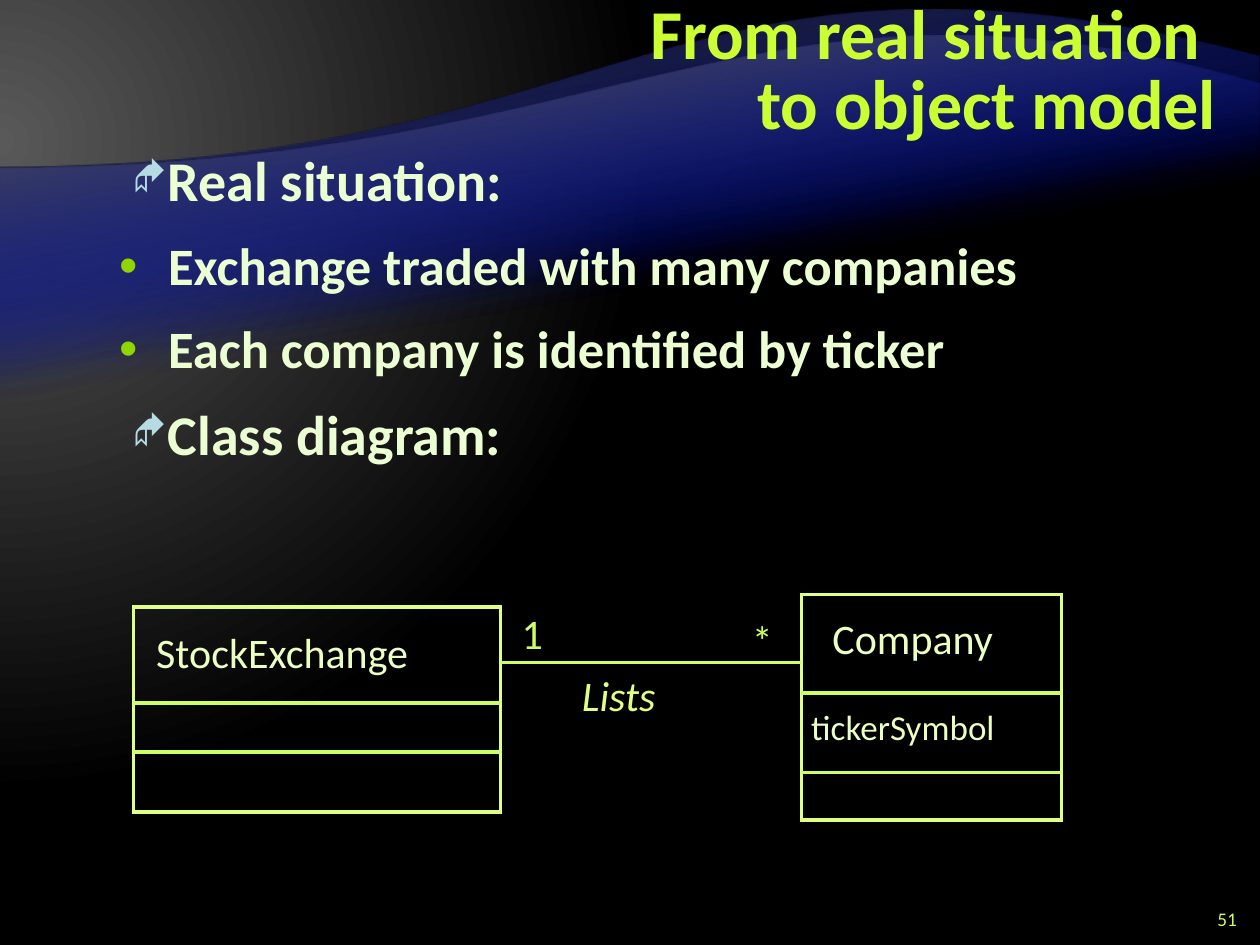
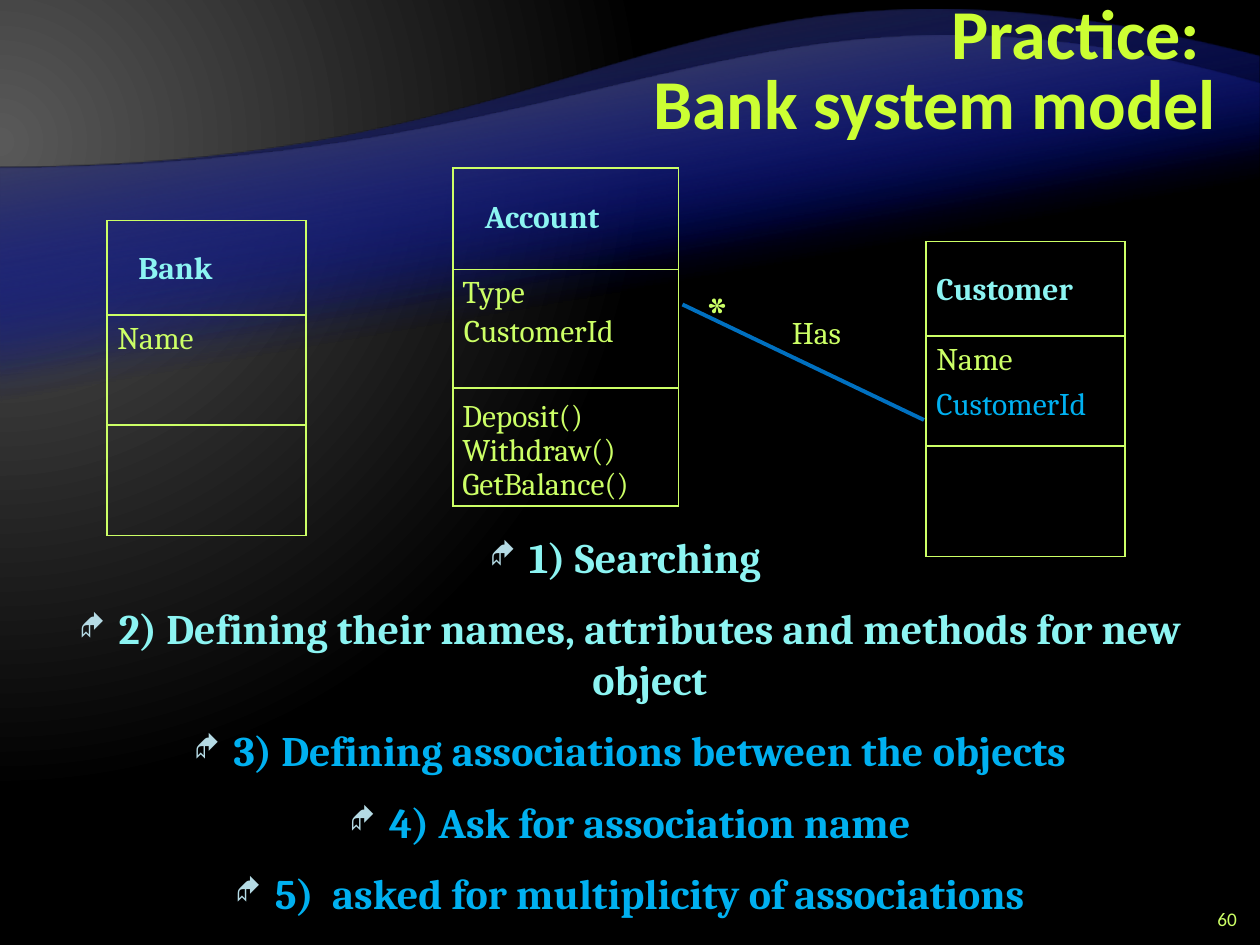
from pptx import Presentation
from pptx import util as u
from pptx.dml.color import RGBColor
from pptx.enum import shapes, text
from pptx.oxml.ns import qn
from pptx.oxml.xmlchemy import OxmlElement

LIME = "CCFF66"
PALE_LIME = "E0FF85"
TITLE_LIME = "CCFF33"
CREAM = "EBFFC2"
BODY_CREAM = "EBFFD2"
AQUA = "8CF4F2"
SKY = "00B0F0"
LINK_BLUE = "0070C0"
ALIGN = text.PP_ALIGN
DIAMOND = {"character": "◆", "color": "B5DBE5", "percent": 70, "font": "Wingdings"}
DOT = {"character": "•", "color": "8FD600", "percent": 100, "font": "Arial"}
WAVES = [
    (470, [(0, 96), (360, 96), (384.5, -54), (720, 32.5)], "262626"),
    (401, [(0, 96), (360, 96), (430.5, -35.5), (720, 48)], "595959"),
]


def rgb(value):
    return RGBColor.from_string(value)


def points(*values):
    return [u.Pt(value) for value in values]


def add_child(parent, tag, **attributes):
    child = OxmlElement(tag)
    for name, value in attributes.items():
        child.set(name, str(value))
    parent.append(child)
    return child


def replace_solid_with_gradient(properties, stops):
    gradient = OxmlElement("a:gradFill")
    gradient.set("rotWithShape", "1")
    stop_list = add_child(gradient, "a:gsLst")
    for position, value, opacity in stops:
        stop = add_child(stop_list, "a:gs", pos=position * 1000)
        color = add_child(stop, "a:srgbClr", val=value)
        if opacity < 100:
            add_child(color, "a:alpha", val=opacity * 1000)
    solid = properties.find(qn("a:solidFill"))
    properties.replace(solid, gradient)
    return gradient


def paint_background(layout):
    layout.background.fill.solid()
    layout.background.fill.fore_color.rgb = rgb("000000")
    properties = layout.element.find(".//" + qn("p:bgPr"))
    gradient = replace_solid_with_gradient(
        properties, [(0, "595959", 100), (83, "000000", 100)])
    circle = add_child(gradient, "a:path", path="circle")
    add_child(circle, "a:fillToRect", l=20000, t=30000, r=135000, b=100000)


def add_wave(slide, bottom, crest, edge_color):
    corners = [points(0, bottom), points(*crest[0]), points(*crest[-1])]
    builder = slide.shapes.build_freeform(*points(720, bottom))
    builder.add_line_segments(corners, close=True)
    wave = builder.convert_to_shape()
    last_side = wave.element.findall(".//" + qn("a:lnTo"))[2]
    curve = OxmlElement("a:cubicBezTo")
    for x, y in crest[1:]:
        add_child(curve, "a:pt", x=u.Pt(x), y=u.Pt(y) - wave.top)
    last_side.getparent().replace(last_side, curve)
    wave.shadow.inherit = False
    wave.line.fill.background()
    wave.fill.solid()
    gradient = replace_solid_with_gradient(
        wave.element.spPr, [(65, "000D9E", 0), (100, edge_color, 100)])
    add_child(gradient, "a:lin", ang=260 * 60000, scaled=0)
    return wave


def decorate_layout(layout, slide):
    paint_background(layout)
    for wave in WAVES * 2:
        layout.shapes.element.append(add_wave(slide, *wave).element)


def add_bullet(paragraph, bullet, margin, indent):
    properties = paragraph._p.get_or_add_pPr()
    properties.set("marL", str(u.Pt(margin)))
    properties.set("indent", str(u.Pt(indent)))
    color = add_child(properties, "a:buClr")
    add_child(color, "a:srgbClr", val=bullet["color"])
    add_child(properties, "a:buSzPct", val=bullet["percent"] * 1000)
    add_child(properties, "a:buFont", typeface=bullet["font"])
    add_child(properties, "a:buChar", char=bullet["character"])


def write_text(frame, content, size=24, color=LIME, font="Calibri", bold=False,
               italic=False, align=ALIGN.LEFT, spacing=None, before=0, after=0):
    paragraph = frame.paragraphs[0]
    if paragraph.runs:
        paragraph = frame.add_paragraph()
    paragraph.alignment = align
    paragraph.line_spacing = spacing
    paragraph.space_before = u.Pt(before)
    paragraph.space_after = u.Pt(after)
    for number, line in enumerate(content.split("\n")):
        if number:
            paragraph.add_line_break()
        run = paragraph.add_run()
        run.text = line
        run.font.size = u.Pt(size)
        run.font.name = font
        run.font.bold = bold
        run.font.italic = italic
        run.font.color.rgb = rgb(color)
    return paragraph


def add_frame(slide, left, top, width, height, wrap=True, middle=False):
    frame = slide.shapes.add_textbox(*points(left, top, width, height)).text_frame
    frame.word_wrap = wrap
    if middle:
        frame.vertical_anchor = text.MSO_ANCHOR.MIDDLE
    return frame


def add_label(slide, content, left, top, width, height=36, **style):
    frame = add_frame(slide, left, top, width, height, wrap=False)
    frame.auto_size = text.MSO_AUTO_SIZE.SHAPE_TO_FIT_TEXT
    write_text(frame, content, **style)


def add_member(slide, content, left, top, width, color=LIME, bold=False):
    add_label(slide, content, left, top, width, 29, size=18, font="Cambria",
              color=color, bold=bold)


def add_line(slide, start, end, color=LIME, weight=2):
    line = slide.shapes.add_connector(
        shapes.MSO_CONNECTOR.STRAIGHT, *points(*start, *end))
    line.line.color.rgb = rgb(color)
    line.line.width = u.Pt(weight)
    add_child(line.element.spPr, "a:effectLst")


def add_class_box(slide, left, top, width, height, dividers, color=LIME, weight=1):
    box = slide.shapes.add_shape(
        shapes.MSO_SHAPE.RECTANGLE, *points(left, top, width, height))
    box.shadow.inherit = False
    box.fill.background()
    box.line.color.rgb = rgb(color)
    box.line.width = u.Pt(weight)
    add_child(box.element.spPr.find(qn("a:ln")), "a:miter", lim=800000)
    for offset in dividers:
        add_line(slide, (left, top + offset), (left + width, top + offset),
                 weight=weight)


def add_base_slide(presentation, title, number):
    slide = presentation.slides.add_slide(presentation.slide_layouts[6])
    write_text(add_frame(slide, 144, 6, 558, 72, middle=True), title, size=40,
               color=TITLE_LIME, bold=True, align=ALIGN.RIGHT, spacing=u.Pt(40))
    write_text(add_frame(slide, 678, 516, 36, 18, middle=True), number, size=11,
               align=ALIGN.RIGHT)
    return slide


def build_exchange_slide(presentation):
    slide = add_base_slide(
        presentation, "From real situation \nto object model", "51")
    body = add_frame(slide, 18, 84, 684, 444)
    heading = (32, DIAMOND, 22.5, 28)
    detail = (30, DOT, 71, -28)
    for content, (size, bullet, margin, indent) in [
            ("Real situation:", heading),
            ("Exchange traded with many companies", detail),
            ("Each company is identified by ticker", detail),
            ("Class diagram:", heading)]:
        paragraph = write_text(body, content, size=size, color=BODY_CREAM, bold=True,
                               spacing=0.9, before=size * 0.3, after=6)
        add_bullet(paragraph, bullet, margin, indent)

    add_class_box(slide, 76.4, 346.8, 209.5, 117.4, (55, 83), PALE_LIME, 2)
    add_class_box(slide, 458, 339.6, 148.5, 129, (56.4, 101.7), PALE_LIME, 2)
    add_label(slide, "StockExchange", 82.2, 354.4, 169, color=CREAM)
    add_label(slide, "Company", 468.6, 346.7, 111, color=CREAM)
    add_label(slide, "tickerSymbol", 456.5, 399.5, 125, 31, size=20, color=CREAM)
    add_line(slide, (286, 378.7), (457.5, 378.7))
    add_label(slide, "Lists", 325.5, 379.3, 64, color=PALE_LIME, italic=True)
    add_label(slide, "*", 422.5, 347.7, 27)
    add_label(slide, "1", 291, 343.5, 25)
    return slide


def build_bank_slide(presentation):
    slide = add_base_slide(presentation, "Practice: \nBank system model", "60")
    body = add_frame(slide, 18, 300.2, 684, 228)
    for content, color in [
            ("1) Searching ", AQUA),
            ("2) Defining their names, attributes and methods for new object", AQUA),
            ("3) Defining associations between the objects", SKY),
            ("4) Ask for association name", SKY),
            ("5)  asked for multiplicity of associations", SKY)]:
        paragraph = write_text(body, content, color=color, font="Cambria", bold=True,
                               align=ALIGN.CENTER, before=6, after=6)
        add_bullet(paragraph, DIAMOND, 22.5, -22.5)

    add_class_box(slide, 258.7, 96, 129, 193, (58, 125.7))
    for left, top in [(529, 138), (61, 126)]:
        add_class_box(slide, left, top, 114, 180, (54, 117))
        add_member(slide, "Name", left - 1, top + 52.2, 63)
    add_member(slide, "Account", 270, 109, 85, AQUA, bold=True)
    add_member(slide, "Customer", 528, 150, 121, AQUA, bold=True)
    add_member(slide, "Bank", 72, 138, 59, AQUA, bold=True)
    add_member(slide, "Type", 257.2, 152, 57)
    add_member(slide, "CustomerId", 258, 174, 114.5)
    add_member(slide, "CustomerId", 528, 216, 109, SKY)
    for row, (method, width) in enumerate(
            [("Deposit()", 92), ("Withdraw()", 107), ("GetBalance()", 125)]):
        add_member(slide, method, 257.2, 223 + row * 19.25, width)
    add_line(slide, (390, 174), (528, 240), LINK_BLUE, 2.25)
    add_member(slide, "Has", 445.5, 175.2, 47)
    add_label(slide, "*", 396, 156, 29, 45, size=32, font="Cambria")


def main():
    presentation = Presentation()
    presentation.slide_width, presentation.slide_height = points(720, 540)
    exchange_slide = build_exchange_slide(presentation)
    build_bank_slide(presentation)
    decorate_layout(presentation.slide_layouts[6], exchange_slide)
    presentation.save("out.pptx")


if __name__ == "__main__":
    main()
